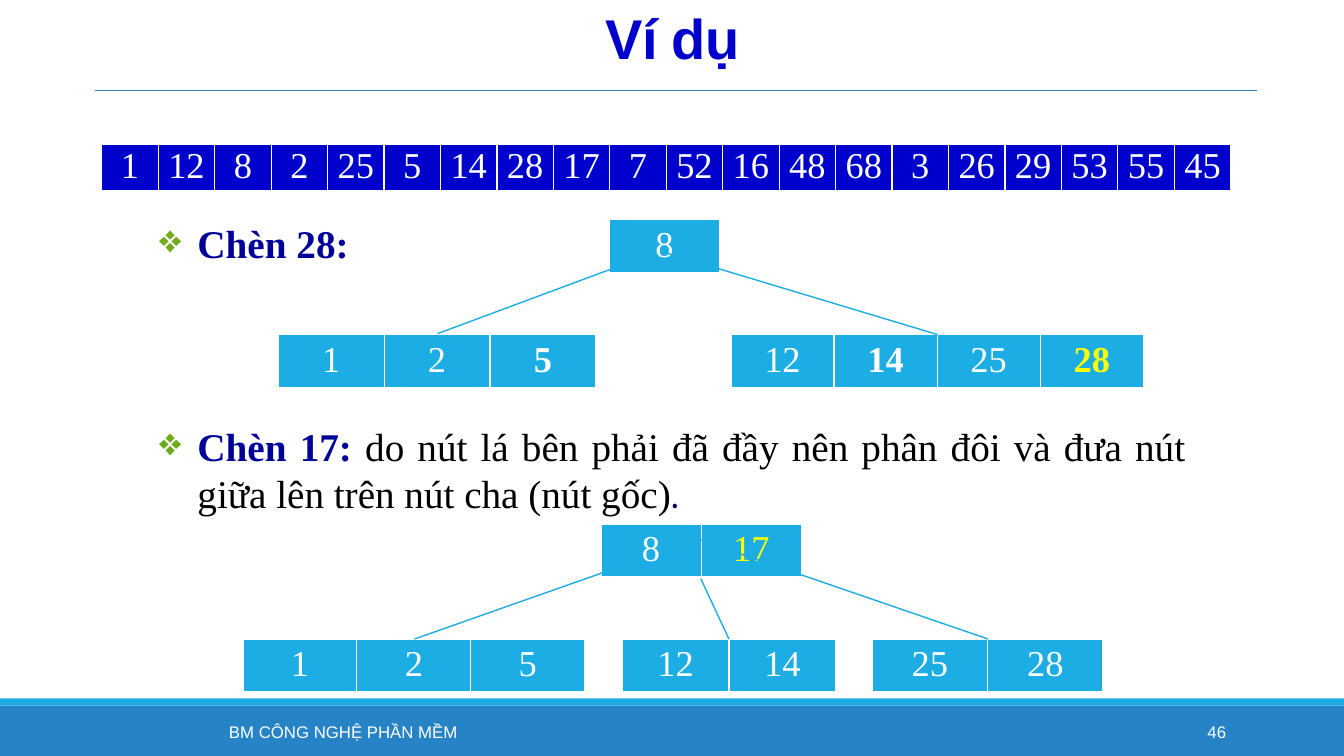
from dataclasses import dataclass

from lxml.etree import SubElement
from pptx import Presentation
from pptx.dml.color import RGBColor as RGB
from pptx.enum.shapes import MSO_CONNECTOR as CONNECTOR, MSO_SHAPE as SHAPE
from pptx.enum.text import MSO_ANCHOR as ANCHOR, PP_ALIGN as ALIGN
from pptx.oxml.ns import qn
from pptx.util import Inches, Pt


@dataclass(frozen=True)
class Theme:
    white: str = "FFFFFF"
    black: str = "000000"
    sky: str = "1CADE4"
    blue: str = "2683C6"
    royal: str = "0000CC"
    navy: str = "000099"
    midnight: str = "000066"
    yellow: str = "FFFF00"
    green: str = "6EAC1C"
    sans: str = "Arial"
    serif: str = "Times New Roman"
    accent_serif: str = "Cambria"
    title_size: float = 40
    body_size: float = 28
    key_size: float = 26
    footer_size: float = 12


class SlideBuilder:
    def __init__(self, slide, theme):
        self.shapes = slide.shapes
        self.theme = theme

    def run(self, paragraph, text, size, color, font, bold=False):
        run = paragraph.add_run()
        run.text = text
        run.font.size = Pt(size)
        run.font.name = font
        run.font.bold = bold
        run.font.color.rgb = RGB.from_string(color)
        return run

    def bar(self, top, height, color):
        bar = self.shapes.add_shape(SHAPE.RECTANGLE, 0, Inches(top), Inches(13.33), Inches(height))
        bar.shadow.inherit = False
        bar.fill.solid()
        bar.fill.fore_color.rgb = RGB.from_string(color)
        bar.line.fill.background()

    def line(self, start, end, color, width=1):
        line = self.shapes.add_connector(CONNECTOR.STRAIGHT, *map(Inches, start + end))
        line.line.color.rgb = RGB.from_string(color)
        line.line.width = Pt(width)
        SubElement(line._element.spPr, qn("a:effectLst"))

    def text(self, left, top, width, height, align, anchor=ANCHOR.MIDDLE):
        box = self.shapes.add_textbox(*map(Inches, (left, top, width, height)))
        box.text_frame.word_wrap = True
        box.text_frame.vertical_anchor = anchor
        paragraph = box.text_frame.paragraphs[0]
        paragraph.alignment = align
        return paragraph

    def title(self, text):
        paragraph = self.text(0.85, 0.04, 11.64, 0.77, ALIGN.CENTER)
        paragraph.line_spacing = 0.85
        theme = self.theme
        run = self.run(paragraph, text, theme.title_size, theme.royal, theme.sans, True)
        run.font._element.set("spc", "-50")

    def footer(self, text, left, width, align):
        paragraph = self.text(left, 7.06, width, 0.4, align)
        self.run(paragraph, text, self.theme.footer_size, self.theme.white, self.theme.sans)

    def step(self, top, height, heading, line_spacing=None):
        paragraph = self.text(1.48, top, 10.38, height, ALIGN.JUSTIFY, ANCHOR.TOP)
        paragraph.line_spacing = line_spacing
        props = paragraph._p.get_or_add_pPr()
        props.set("marL", str(Inches(0.38)))
        props.set("indent", str(Inches(-0.38)))
        before = SubElement(props, qn("a:spcBef"))
        SubElement(before, qn("a:spcPct"), val="20000")
        bullet_color = SubElement(props, qn("a:buClr"))
        SubElement(bullet_color, qn("a:srgbClr"), val=self.theme.green)
        SubElement(props, qn("a:buChar"), char="❖")
        self.run(paragraph, heading, self.theme.body_size, self.theme.navy, self.theme.serif, True)
        return paragraph

    def border(self, cell):
        props = cell._tc.get_or_add_tcPr()
        for index, (side, width) in enumerate((("L", 1), ("R", 1), ("T", 1), ("B", 3))):
            edge = SubElement(props, qn(f"a:ln{side}"), w=str(Pt(width)))
            fill = SubElement(edge, qn("a:solidFill"))
            SubElement(fill, qn("a:srgbClr"), val=self.theme.white)
            props.insert(index, edge)

    def keys(self, left, top, width, keys, height=0.53, fill=None, bold=(), new=None):
        frame = self.shapes.add_table(1, len(keys), *map(Inches, (left, top, width, height)))
        table = frame.table
        table.first_row = table.horz_banding = False
        for column, key in enumerate(keys):
            table.columns[column].width = Inches(width / len(keys))
            cell = table.cell(0, column)
            cell.fill.solid()
            cell.fill.fore_color.rgb = RGB.from_string(fill or self.theme.sky)
            self.border(cell)
            paragraph = cell.text_frame.paragraphs[0]
            paragraph.alignment = ALIGN.CENTER
            color = self.theme.yellow if key == new else self.theme.white
            self.run(paragraph, str(key), self.theme.key_size, color, self.theme.serif, key in bold)
        return table

    def sequence(self, keys):
        table = self.keys(1.01, 1.43, 11.2, keys, 0.47, self.theme.royal)
        for cell in table.iter_cells():
            cell.vertical_anchor = ANCHOR.MIDDLE
            cell.margin_left = cell.margin_right = Inches(0.06)
            cell.margin_top = cell.margin_bottom = 0
            paragraph = cell.text_frame.paragraphs[0]
            paragraph.line_spacing = 0.9
            paragraph.space_before = Pt(11.5)


def main():
    theme = Theme()
    deck = Presentation()
    deck.slide_width, deck.slide_height = Inches(13.33), Inches(7.5)
    slide = SlideBuilder(deck.slides.add_slide(deck.slide_layouts[6]), theme)

    slide.bar(7, 0.5, theme.blue)
    slide.bar(6.93, 0.07, theme.sky)
    slide.line((0.94, 0.9), (12.47, 0.9), theme.blue, 0.5)
    slide.title("Ví dụ")

    slide.step(2.18, 0.53, "Chèn 28:", 0.9)
    split = slide.step(4.14, 1.04, "Chèn 17: ")
    slide.run(split, "do nút lá bên phải đã đầy nên phân đôi và đưa nút giữa lên trên nút cha (nút gốc)",
              theme.body_size, theme.black, theme.serif)
    slide.run(split, ".", theme.body_size, theme.midnight, theme.accent_serif)

    slide.keys(6.04, 2.18, 1.1, [8])
    slide.keys(7.25, 3.32, 4.09, [12, 14, 25, 28], bold=(14, 28), new=28)
    slide.keys(2.76, 3.32, 3.15, [1, 2, 5], bold=(5,))
    slide.line((6.49, 2.51), (4.34, 3.31), theme.sky)
    slide.line((6.61, 2.51), (9.3, 3.32), theme.sky)

    slide.keys(5.96, 5.2, 1.99, [8, 17], new=17)
    for left, width, leaf in ((6.17, 2.12, [12, 14]), (2.41, 3.39, [1, 2, 5]), (8.65, 2.29, [25, 28])):
        slide.keys(left, 6.34, width, leaf)
    for start, leaf_center in (((6.38, 5.54), 4.11), ((6.95, 5.74), 7.23), ((6.95, 5.36), 9.8)):
        slide.line(start, (leaf_center, 6.34), theme.sky)

    slide.sequence([1, 12, 8, 2, 25, 5, 14, 28, 17, 7, 52, 16, 48, 68, 3, 26, 29, 53, 55, 45])
    slide.footer("BM CÔNG NGHỆ PHẦN MỀM", 1.2, 4.41, ALIGN.CENTER)
    slide.footer("46", 10.83, 1.43, ALIGN.RIGHT)
    deck.save("out.pptx")


if __name__ == "__main__":
    main()
